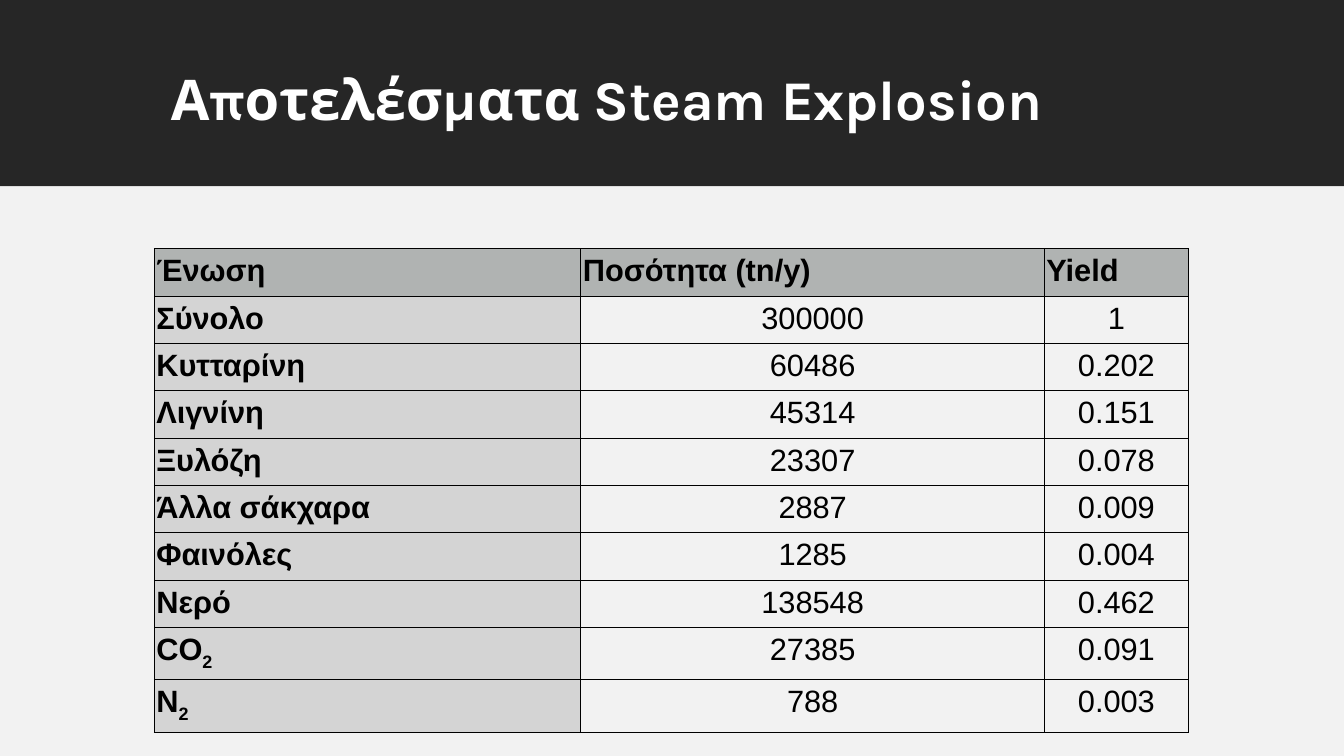
from lxml import etree
from pptx import Presentation
from pptx.dml.color import RGBColor
from pptx.enum.shapes import MSO_SHAPE
from pptx.enum.text import MSO_ANCHOR, PP_ALIGN
from pptx.oxml.ns import qn
from pptx.util import Cm, Pt

COLORS = {
    "band": "262626",
    "body": "F2F2F2",
    "header": "B0B3B2",
    "label": "D4D4D4",
    "text": "000000",
    "title": "FFFFFF",
}
SLIDE_WIDTH = 33.87
BAND_HEIGHT = 4.7
COLUMN_WIDTHS = [10.75, 11.68, 3.63]
ROW_HEIGHT = 1.09

HEADER = ("Ένωση", "Ποσότητα (tn/y)", "Yield")
YIELDS = [
    ("Σύνολο", "300000", "1"),
    ("Κυτταρίνη", "60486", "0.202"),
    ("Λιγνίνη", "45314", "0.151"),
    ("Ξυλόζη", "23307", "0.078"),
    ("Άλλα σάκχαρα", "2887", "0.009"),
    ("Φαινόλες", "1285", "0.004"),
    ("Νερό", "138548", "0.462"),
    ("CO2", "27385", "0.091"),
    ("N2", "788", "0.003"),
]


def rgb(name):
    return RGBColor.from_string(COLORS[name])


def format_run(run, font_name, size, color, bold):
    run.font.name = font_name
    run.font.size = Pt(size)
    run.font.bold = bold
    run.font.color.rgb = rgb(color)


def add_background(slide, top, height, color):
    shape = slide.shapes.add_shape(
        MSO_SHAPE.RECTANGLE, Cm(0), Cm(top), Cm(SLIDE_WIDTH), Cm(height))
    shape.shadow.inherit = False
    shape.fill.solid()
    shape.fill.fore_color.rgb = rgb(color)
    shape.line.fill.background()


def add_title(slide, text):
    box = slide.shapes.add_textbox(Cm(4.06), Cm(1.7), Cm(25.76), Cm(2.49))
    text_frame = box.text_frame
    text_frame.word_wrap = True
    text_frame.text = text
    paragraph = text_frame.paragraphs[0]
    paragraph.line_spacing = 0.9
    format_run(paragraph.runs[0], "Karla", 40, "title", True)


def set_borders(cell):
    """Draw a thin line on all four sides, placed before the cell's fill."""
    properties = cell._tc.get_or_add_tcPr()
    for position, side in enumerate(("a:lnL", "a:lnR", "a:lnT", "a:lnB")):
        line = etree.Element(qn(side), w=str(Pt(0.75)))
        fill = etree.SubElement(line, qn("a:solidFill"))
        etree.SubElement(fill, qn("a:srgbClr"), val=COLORS["text"])
        properties.insert(position, line)


def fill_cell(cell, text, bold, color=None):
    """Write the text, lowering the digit that ends a bold formula."""
    cell.margin_left = cell.margin_right = Cm(0.05)
    cell.margin_top = cell.margin_bottom = Cm(0.13)
    cell.vertical_anchor = MSO_ANCHOR.TOP
    if color:
        cell.fill.solid()
        cell.fill.fore_color.rgb = rgb(color)
    else:
        cell.fill.background()
    set_borders(cell)

    base = text.rstrip("0123456789") if bold else text
    subscript = text[len(base):]
    cell.text_frame.text = base
    paragraph = cell.text_frame.paragraphs[0]
    paragraph.alignment = PP_ALIGN.LEFT if bold else PP_ALIGN.CENTER
    if subscript:
        run = paragraph.add_run()
        run.text = subscript
        run.font._element.set("baseline", "-25000")
    for run in paragraph.runs:
        format_run(run, "Arial", 22, "text", bold)


def add_yield_table(slide):
    rows = [HEADER] + YIELDS
    table = slide.shapes.add_table(
        len(rows), len(HEADER), Cm(3.89), Cm(6.27),
        Cm(sum(COLUMN_WIDTHS)), Cm(ROW_HEIGHT * len(rows))).table
    table.horz_banding = False
    for column, width in zip(table.columns, COLUMN_WIDTHS):
        column.width = Cm(width)
    for row_index, values in enumerate(rows):
        table.rows[row_index].height = Cm(ROW_HEIGHT)
        for column_index, value in enumerate(values):
            is_header = row_index == 0
            is_label = column_index == 0
            color = "header" if is_header else "label" if is_label else None
            fill_cell(table.cell(row_index, column_index), value,
                      is_header or is_label, color)


def main():
    presentation = Presentation()
    presentation.slide_width = Cm(SLIDE_WIDTH)
    presentation.slide_height = Cm(19.05)
    slide = presentation.slides.add_slide(presentation.slide_layouts[6])
    add_background(slide, 0, BAND_HEIGHT, "band")
    add_title(slide, "Αποτελέσματα Steam Explosion")
    add_background(slide, BAND_HEIGHT, 14.48, "body")
    add_yield_table(slide)
    presentation.save("out.pptx")


if __name__ == "__main__":
    main()
